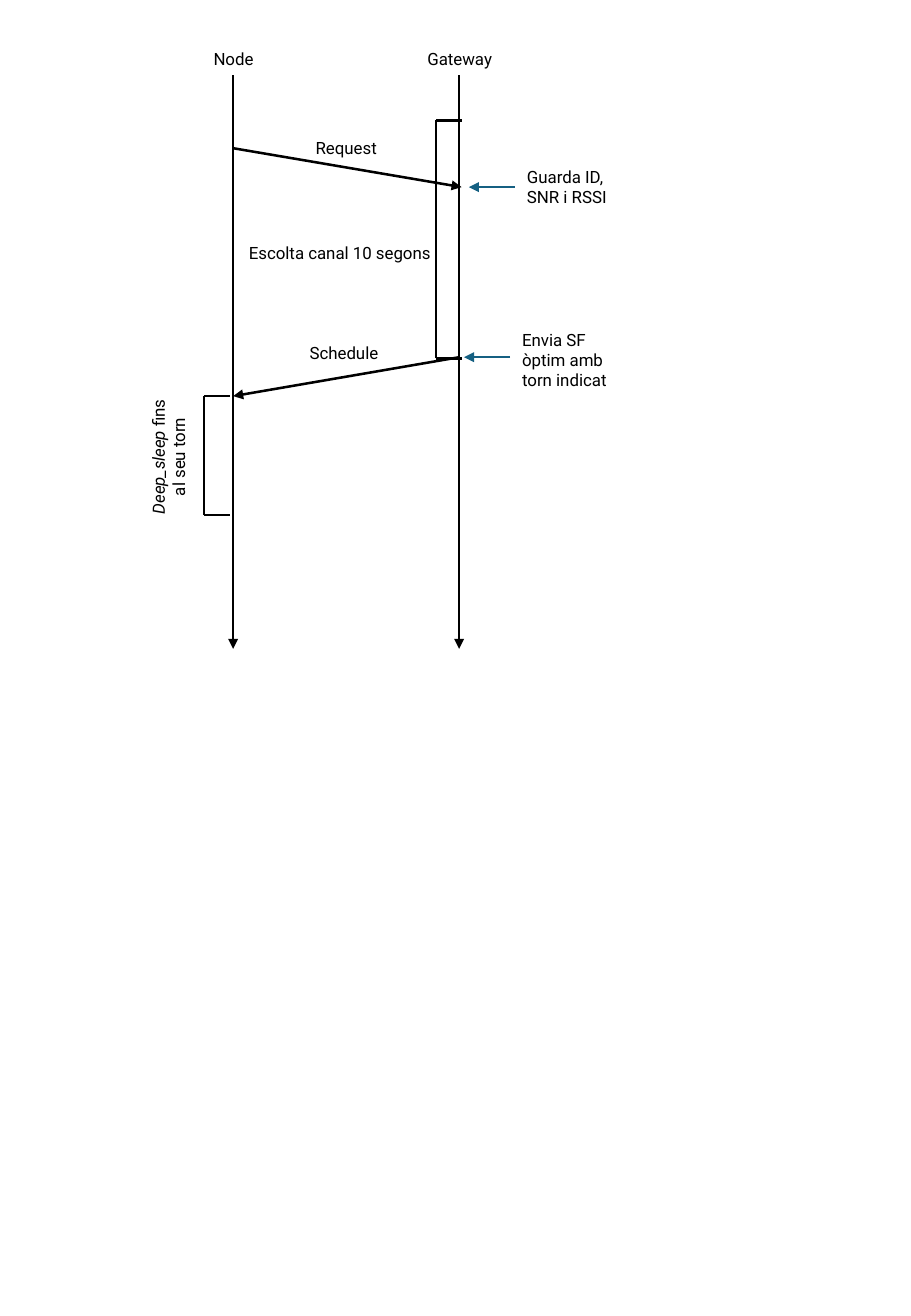
from lxml.etree import SubElement
from pptx import Presentation
from pptx.dml.color import RGBColor
from pptx.enum.shapes import MSO_CONNECTOR
from pptx.enum.text import MSO_AUTO_SIZE, PP_ALIGN
from pptx.oxml.ns import qn
from pptx.util import Inches, Pt

BLACK = RGBColor(0x00, 0x00, 0x00)
BLUE = RGBColor(0x15, 0x60, 0x82)
TEXT_FORMAT = {"name": "Roboto", "size": Pt(10)}

NODE_X, GATEWAY_X = 1.92, 3.78
LIFELINE_TOP, LIFELINE_BOTTOM = 0.62, 5.34
REQUEST_Y, SCHEDULE_Y = 1.22, 2.94
MESSAGE_DROP = 0.32
LABEL_HEIGHT = 0.27


def add_line(shapes, start, end, color=BLACK, arrow=False):
    points = [Inches(value) for value in (*start, *end)]
    line = shapes.add_connector(MSO_CONNECTOR.STRAIGHT, *points)
    line.line.color.rgb = color
    line.line.width = Pt(1.5)
    properties = line._element.spPr
    if arrow:
        SubElement(properties.find(qn("a:ln")), qn("a:tailEnd"), type="triangle")
    SubElement(properties, qn("a:effectLst"))


def add_label(page, spans, left, top, width, height=LABEL_HEIGHT, wrap=False,
              align=PP_ALIGN.LEFT, rotation=0):
    """Each span is a pair of text and italic."""
    box = page.shapes.add_textbox(*[Inches(value) for value in (left, top, width, height)])
    box.rotation = rotation
    frame = box.text_frame
    frame.word_wrap = wrap
    frame.auto_size = MSO_AUTO_SIZE.SHAPE_TO_FIT_TEXT
    para = frame.paragraphs[0]
    para.alignment = align
    for text, italic in spans:
        span = para.add_run()
        span.text = text
        span.font.italic = italic
        span.font.color.rgb = BLACK
        for name, value in TEXT_FORMAT.items():
            setattr(span.font, name, value)


def add_lifeline(page, name, x, label_left, label_width):
    add_label(page, [(name, False)], label_left, LIFELINE_TOP - LABEL_HEIGHT, label_width)
    add_line(page.shapes, (x, LIFELINE_TOP), (x, LIFELINE_BOTTOM), arrow=True)


def add_message(page, name, from_x, to_x, y, label_left, label_top, label_width):
    add_line(page.shapes, (from_x, y), (to_x, y + MESSAGE_DROP), arrow=True)
    add_label(page, [(name, False)], label_left, label_top, label_width)


def add_bracket(page, left, top, height, width=0.21):
    """Square bracket that opens to the right."""
    shapes = page.shapes.add_group_shape().shapes
    right, bottom = left + width, top + height
    add_line(shapes, (left, top), (right, top))
    add_line(shapes, (left, bottom), (left, top))
    add_line(shapes, (left, bottom), (right, bottom))


def add_note(page, text, left, top, height, arrow_y):
    add_label(page, [(text, False)], left, top, 0.95, height, wrap=True)
    add_line(page.shapes, (left, arrow_y), (left - 0.38, arrow_y), BLUE, arrow=True)


def build_sequence(page):
    # Lifelines
    add_lifeline(page, "Node", NODE_X, 1.66, 0.54)
    add_lifeline(page, "Gateway", GATEWAY_X, 3.42, 0.75)

    # Messages
    add_message(page, "Request", NODE_X, GATEWAY_X + 0.02, REQUEST_Y, 2.5, 1.08, 0.72)
    add_message(page, "Schedule", GATEWAY_X, NODE_X, SCHEDULE_Y, 2.45, 2.77, 0.78)

    # Listening period
    add_bracket(page, 3.59, 0.99, 1.96)
    add_label(page, [("Escolta canal 10 segons", False)], 1.95, 1.95, 1.79, wrap=True)

    # Sleeping period
    add_bracket(page, 1.68, SCHEDULE_Y + MESSAGE_DROP, 0.98)
    add_label(page, [("Deep_sleep", True), (" fins al seu torn", False)],
              0.79, 3.54, 1.2, 0.44, wrap=True, align=PP_ALIGN.CENTER, rotation=270)

    # Gateway notes
    add_note(page, "Guarda ID, SNR i RSSI", 4.24, 1.32, 0.44, REQUEST_Y + MESSAGE_DROP)
    add_note(page, "Envia SF òptim amb torn indicat", 4.2, 2.66, 0.61, SCHEDULE_Y)


def main():
    deck = Presentation()
    deck.slide_width, deck.slide_height = Inches(7.5), Inches(10.83)
    page = deck.slides.add_slide(deck.slide_layouts[6])
    build_sequence(page)
    deck.save("out.pptx")


if __name__ == "__main__":
    main()
